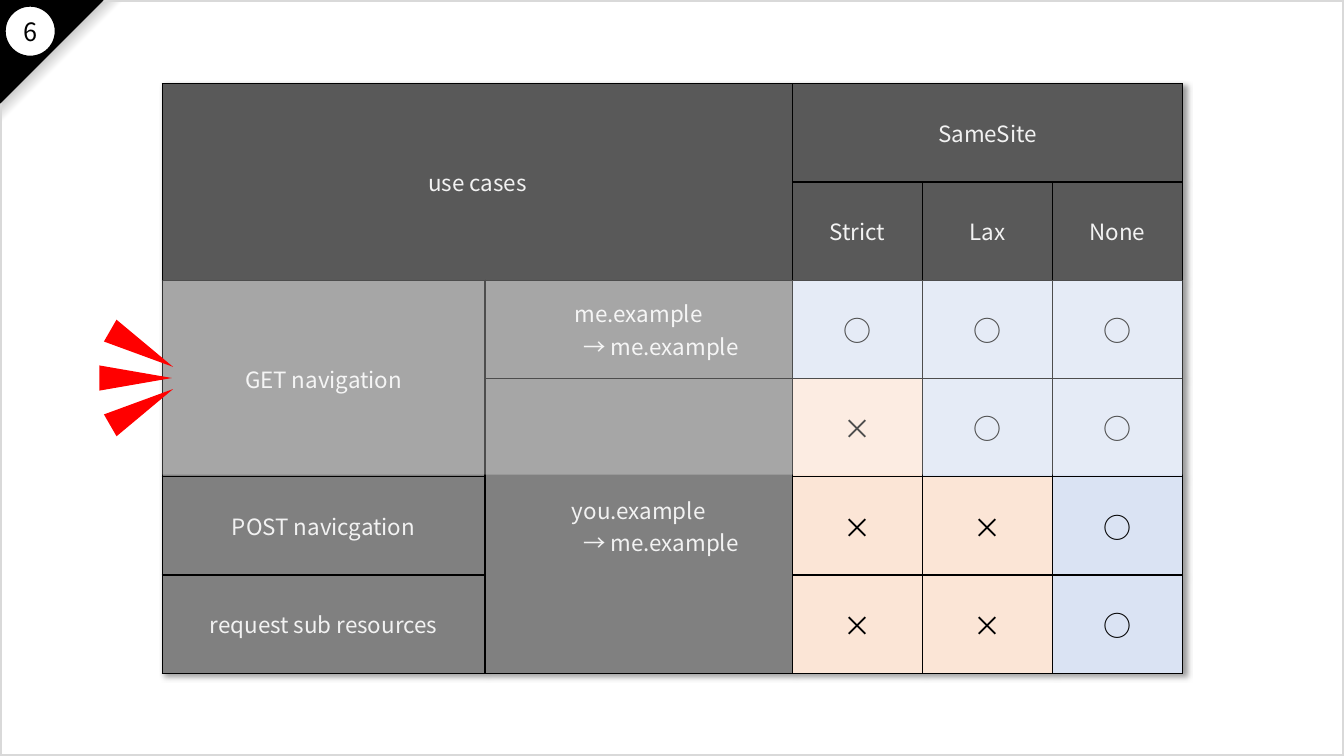
from lxml import etree
from pptx import Presentation
from pptx.dml.color import RGBColor
from pptx.enum import shapes, text
from pptx.oxml import ns, parse_xml
from pptx.util import Inches, Pt

# Content: (row, column, rows spanned, columns spanned, lines)
HEADS = [
    (0, 0, 2, 2, ["use cases"]),
    (0, 2, 1, 3, ["SameSite"]),
    (1, 2, 1, 1, ["Strict"]),
    (1, 3, 1, 1, ["Lax"]),
    (1, 4, 1, 1, ["None"]),
]
CASES = [
    (2, 0, 2, 1, ["GET navigation"]),
    (2, 1, 1, 1, ["me.example", "→ me.example"]),
    (3, 1, 3, 1, ["you.example", "→ me.example"]),
    (4, 0, 1, 1, ["POST navicgation"]),
    (5, 0, 1, 1, ["request sub resources"]),
]
MARKS = ["○○○", "×○○", "××○", "××○"]
NUMBER = "6"
# Pointer rays: centre x, centre y, turn
RAYS = [(1.345, 3.75, 90), (1.405, 4.04, 60), (1.405, 3.46, 120)]


class Theme:
    font = "Noto Sans CJK JP"
    black, white, red, frame = "000000", "FFFFFF", "FF0000", "D9D9D9"
    head, case, pale = "595959", "808080", "F2F2F2"
    mark = {"○": "DAE3F3", "×": "FBE5D6"}
    body, sign, num = 16, 20, 18


LEFT, TOP, ROW = 1.61, 0.83, 0.975
COLS = [3.2, 3.05, 1.29, 1.29, 1.29]
A = 'xmlns:a="http://schemas.openxmlformats.org/drawingml/2006/main"'
Kind = shapes.MSO_SHAPE

prs = Presentation()
prs.slide_width, prs.slide_height = Inches(13.33), Inches(7.5)
slide = prs.slides.add_slide(prs.slide_layouts[6])


def rgb(code):
    return RGBColor.from_string(code)


def add(kind, box, fill=None, line=None, width=1, turn=0, home=slide):
    shape = home.shapes.add_shape(kind, *map(Inches, box))
    shape.shadow.inherit = False
    shape.rotation = turn
    if fill:
        shape.fill.solid()
        shape.fill.fore_color.rgb = rgb(fill)
    else:
        shape.fill.background()
    if line:
        shape.line.color.rgb = rgb(line)
        shape.line.width = Pt(width)
    else:
        shape.line.fill.background()
    return shape


def style(para, size, color):
    para.alignment = text.PP_ALIGN.CENTER
    for run in para.runs:
        run.font.size = Pt(size)
        run.font.name = Theme.font
        run.font.color.rgb = rgb(color)
        east = etree.SubElement(run.font._element, ns.qn("a:ea"))
        east.set("typeface", Theme.font)


def put(cell, lines, size, color, fill):
    cell.text_frame.text = "\n".join(lines)
    cell.vertical_anchor = text.MSO_ANCHOR.MIDDLE
    cell.fill.solid()
    cell.fill.fore_color.rgb = rgb(fill)
    for n, para in enumerate(cell.text_frame.paragraphs):
        if n:
            para._p.get_or_add_pPr().set("marL", str(Pt(2 * size)))
        style(para, size, color)


# Corner shade and slide frame
shade = add(Kind.RIGHT_TRIANGLE, (0, 0, 1.23, 1.23), Theme.white, turn=90)
stops = [(0, Theme.white), (50, Theme.white), (70, Theme.case), (100, Theme.black)]
marks = "".join(
    f'<a:gs pos="{pos * 1000}"><a:srgbClr val="{code}"/></a:gs>' for pos, code in stops)
blend = parse_xml(
    f'<a:gradFill {A} rotWithShape="1"><a:gsLst>{marks}</a:gsLst>'
    f'<a:lin ang="{135 * 60000}" scaled="0"/></a:gradFill>')
props = shade._element.spPr
props.replace(props.find(ns.qn("a:solidFill")), blend)
add(Kind.RECTANGLE, (0, 0, 13.33, 7.5), line=Theme.frame, width=3)

# Table grid, borders and shadow
grid = slide.shapes.add_table(
    6, 5, Inches(LEFT), Inches(TOP), Inches(sum(COLS)), Inches(6 * ROW)).table
grid.first_row = grid.horz_banding = False
for col, wide in zip(grid.columns, COLS):
    col.width = Inches(wide)
for row in grid.rows:
    row.height = Inches(ROW)
for cell in grid.iter_cells():
    cell.fill.background()
    edges = cell._tc.get_or_add_tcPr()
    for n, side in enumerate("LRTB"):
        edges.insert(n, parse_xml(
            f'<a:ln{side} {A} w="{Pt(1)}"><a:solidFill>'
            f'<a:srgbClr val="{Theme.black}"/></a:solidFill></a:ln{side}>'))
grid._tbl.tblPr.insert(0, parse_xml(
    f'<a:effectLst {A}><a:outerShdw blurRad="50800" dist="38100" dir="2700000" '
    f'algn="tl" rotWithShape="0"><a:srgbClr val="{Theme.black}">'
    '<a:alpha val="40000"/></a:srgbClr></a:outerShdw></a:effectLst>'))

# Table text
for parts, fill in ((HEADS, Theme.head), (CASES, Theme.case)):
    for r, c, down, across, lines in parts:
        cell = grid.cell(r, c)
        if down * across > 1:
            cell.merge(grid.cell(r + down - 1, c + across - 1))
        put(cell, lines, Theme.body, Theme.pale, fill)
for r, signs in enumerate(MARKS, 2):
    for c, sign in enumerate(signs, 2):
        put(grid.cell(r, c), [sign], Theme.sign, Theme.black, Theme.mark[sign])

# Corner number
add(Kind.RIGHT_TRIANGLE, (0, 0, 1.02, 1.02), Theme.black, Theme.black, turn=90)
add(Kind.OVAL, (0.05, 0.06, 0.5, 0.5), Theme.white, Theme.black)
label = slide.shapes.add_textbox(*map(Inches, (0.12, 0.11, 0.36, 0.4))).text_frame
label.word_wrap = False
label.auto_size = text.MSO_AUTO_SIZE.SHAPE_TO_FIT_TEXT
label.text = NUMBER
style(label.paragraphs[0], Theme.num, Theme.black)

# Veil over the GET rows
veil = add(Kind.RECTANGLE, (LEFT, 2.78, sum(COLS), 1.93), Theme.white)
tint = veil._element.spPr.find(ns.qn("a:solidFill"))[0]
etree.SubElement(tint, ns.qn("a:alpha")).set("val", "30000")

# Red pointer rays
rays = slide.shapes.add_group_shape()
for x, y, turn in RAYS:
    add(Kind.ISOSCELES_TRIANGLE, (x - 0.125, y - 0.36, 0.25, 0.72),
        Theme.red, turn=turn, home=rays)

prs.save("out.pptx")
